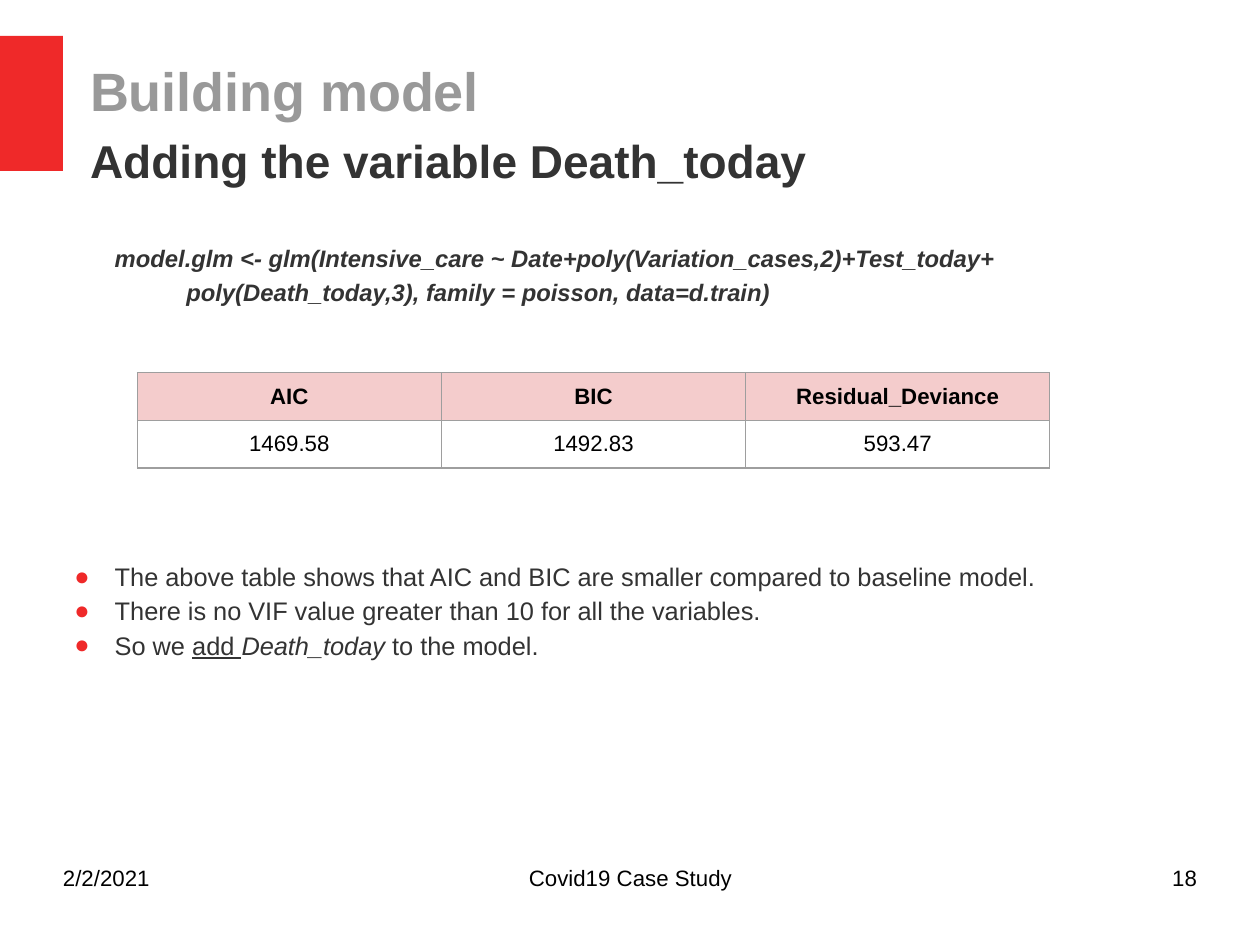
from lxml import etree
from pptx import Presentation
from pptx.dml.color import RGBColor
from pptx.enum.shapes import MSO_SHAPE
from pptx.enum.text import MSO_ANCHOR, MSO_AUTO_SIZE, PP_ALIGN
from pptx.oxml.ns import qn
from pptx.util import Cm, Pt

RED = RGBColor(0xEF, 0x29, 0x29)
PINK = RGBColor(0xF4, 0xCC, 0xCC)
GREY = RGBColor(0x99, 0x99, 0x99)
BORDER_GREY = RGBColor(0x9E, 0x9E, 0x9E)
DARK = RGBColor(0x33, 0x33, 0x33)
BLACK = RGBColor(0, 0, 0)

RECTANGLE = MSO_SHAPE.RECTANGLE
LEFT, CENTER, RIGHT = PP_ALIGN.LEFT, PP_ALIGN.CENTER, PP_ALIGN.RIGHT
TOP, MIDDLE = MSO_ANCHOR.TOP, MSO_ANCHOR.MIDDLE
NO_AUTOFIT = MSO_AUTO_SIZE.NONE

FONT = "Arial"
BODY_SPACING = Pt(21.6)
BULLETS_GAP = Pt(158)

FORMULA = (
    "model.glm <- glm(Intensive_care ~ Date+poly(Variation_cases,2)+Test_today+",
    "poly(Death_today,3), family = poisson, data=d.train)",
)
BULLETS = (
    [("The above table shows that AIC and BIC are smaller compared to baseline model.", {})],
    [("There is no VIF value greater than 10 for all the variables.", {})],
    [
        ("So we ", {}),
        ("add ", {"underline": True}),
        ("Death_today ", {"italic": True}),
        ("to the model.", {}),
    ],
)
SCORES = (("AIC", "BIC", "Residual_Deviance"), ("1469.58", "1492.83", "593.47"))
FOOTERS = (
    ("2/2/2021", 1.4, 6.53, LEFT),
    ("Covid19 Case Study", 9.58, 8.86, CENTER),
    ("18", 20.07, 6.53, RIGHT),
)


def add_text(para, text, size, color, bold=False, italic=False, underline=False):
    span = para.add_run()
    span.text = text
    font = span.font
    font.name, font.size, font.color.rgb = FONT, Pt(size), color
    font.bold, font.italic, font.underline = bold, italic, underline


def format_para(para, align=LEFT, spacing=None, before=Pt(0)):
    para.alignment = align
    para.line_spacing = spacing
    para.space_before = before
    para.space_after = Pt(0)


def set_indent(para, margin, first_line, bullet=None):
    """Indent a paragraph and give it a red bullet, or none."""
    props = para._p.get_or_add_pPr()
    props.set("marL", str(margin))
    props.set("indent", str(first_line))
    if bullet is None:
        etree.SubElement(props, qn("a:buNone"))
        return
    color = etree.SubElement(props, qn("a:buClr"))
    etree.SubElement(color, qn("a:srgbClr"), val=str(RED))
    etree.SubElement(props, qn("a:buFont"), typeface=FONT)
    etree.SubElement(props, qn("a:buChar"), char=bullet)


def place(box, left, top, width, height):
    box.left, box.top, box.width, box.height = Cm(left), Cm(top), Cm(width), Cm(height)


def prepare_frame(box, anchor=TOP, top_inset=0):
    frame = box.text_frame
    frame.word_wrap = True
    frame.auto_size = NO_AUTOFIT
    frame.vertical_anchor = anchor
    frame.margin_left = frame.margin_right = frame.margin_bottom = 0
    frame.margin_top = Cm(top_inset)
    return frame


def add_red_block(page):
    block = page.shapes.add_shape(RECTANGLE, 0, Cm(0.8), Cm(1.4), Cm(3))
    block.shadow.inherit = False
    block.fill.solid()
    block.fill.fore_color.rgb = RED
    block.line.fill.background()


def fill_title(title):
    place(title, 2, 0.84, 24.6, 3.5)
    frame = prepare_frame(title, MIDDLE)
    heading, subheading = frame.paragraphs[0], frame.add_paragraph()
    for para in (heading, subheading):
        format_para(para, spacing=1.19)
    add_text(heading, "Building model", 34, GREY, bold=True)
    add_text(subheading, "Adding the variable Death_today", 29, DARK, bold=True)


def fill_body(body):
    place(body, 1.35, 4.45, 25.57, 13.43)
    frame = prepare_frame(body, top_inset=0.84)
    formula = frame.paragraphs[0]
    format_para(formula, spacing=BODY_SPACING)
    set_indent(formula, Cm(2.79), Cm(-1.59))
    for number, line in enumerate(FORMULA):
        if number:
            formula.add_line_break()
        add_text(formula, line, 15, DARK, bold=True, italic=True)

    for number, spans in enumerate(BULLETS):
        para = frame.add_paragraph()
        format_para(para, spacing=BODY_SPACING, before=Pt(0) if number else BULLETS_GAP)
        set_indent(para, Cm(1.2), Cm(-0.9), bullet="●")
        for text, style in spans:
            add_text(para, text, 16, DARK, **style)


def set_borders(cell):
    props = cell._tc.get_or_add_tcPr()
    for position, side in enumerate(("lnL", "lnR", "lnT", "lnB")):
        line = etree.Element(qn(f"a:{side}"), w=str(Pt(0.75)))
        fill = etree.SubElement(line, qn("a:solidFill"))
        etree.SubElement(fill, qn("a:srgbClr"), val=str(BORDER_GREY))
        props.insert(position, line)


def add_score_table(page):
    frame = page.shapes.add_table(
        len(SCORES), len(SCORES[0]), Cm(3.05), Cm(8.28), Cm(20.28), Cm(2.12)
    )
    table = frame.table
    table.horz_banding = False
    for row_number, values in enumerate(SCORES):
        is_header = row_number == 0
        for column_number, value in enumerate(values):
            cell = table.cell(row_number, column_number)
            cell.margin_left = cell.margin_right = Cm(0.25)
            cell.margin_top = cell.margin_bottom = Cm(0.25)
            if is_header:
                cell.fill.solid()
                cell.fill.fore_color.rgb = PINK
            else:
                cell.fill.background()
            set_borders(cell)
            para = cell.text_frame.paragraphs[0]
            format_para(para, CENTER)
            add_text(para, value, 14, BLACK, bold=is_header)


def add_footer(page, text, left, width, align):
    box = page.shapes.add_textbox(Cm(left), Cm(19.13), Cm(width), Cm(1.45))
    para = prepare_frame(box).paragraphs[0]
    format_para(para, align, spacing=1.13)
    add_text(para, text, 14, BLACK)


def main():
    deck = Presentation()
    deck.slide_width, deck.slide_height = Cm(28), Cm(21)
    page = deck.slides.add_slide(deck.slide_layouts[1])
    add_red_block(page)
    fill_title(page.shapes.title)
    fill_body(page.placeholders[1])
    add_score_table(page)
    for footer in FOOTERS:
        add_footer(page, *footer)
    deck.save("out.pptx")


if __name__ == "__main__":
    main()
